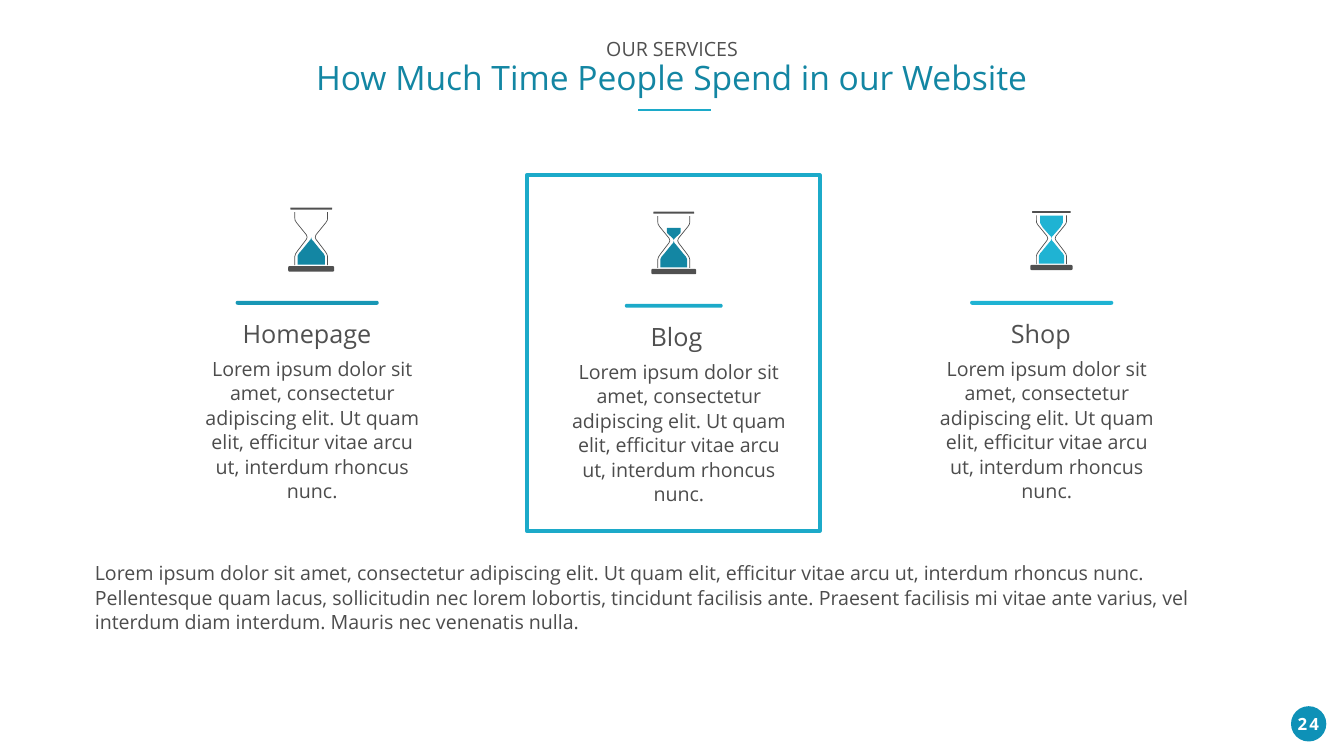
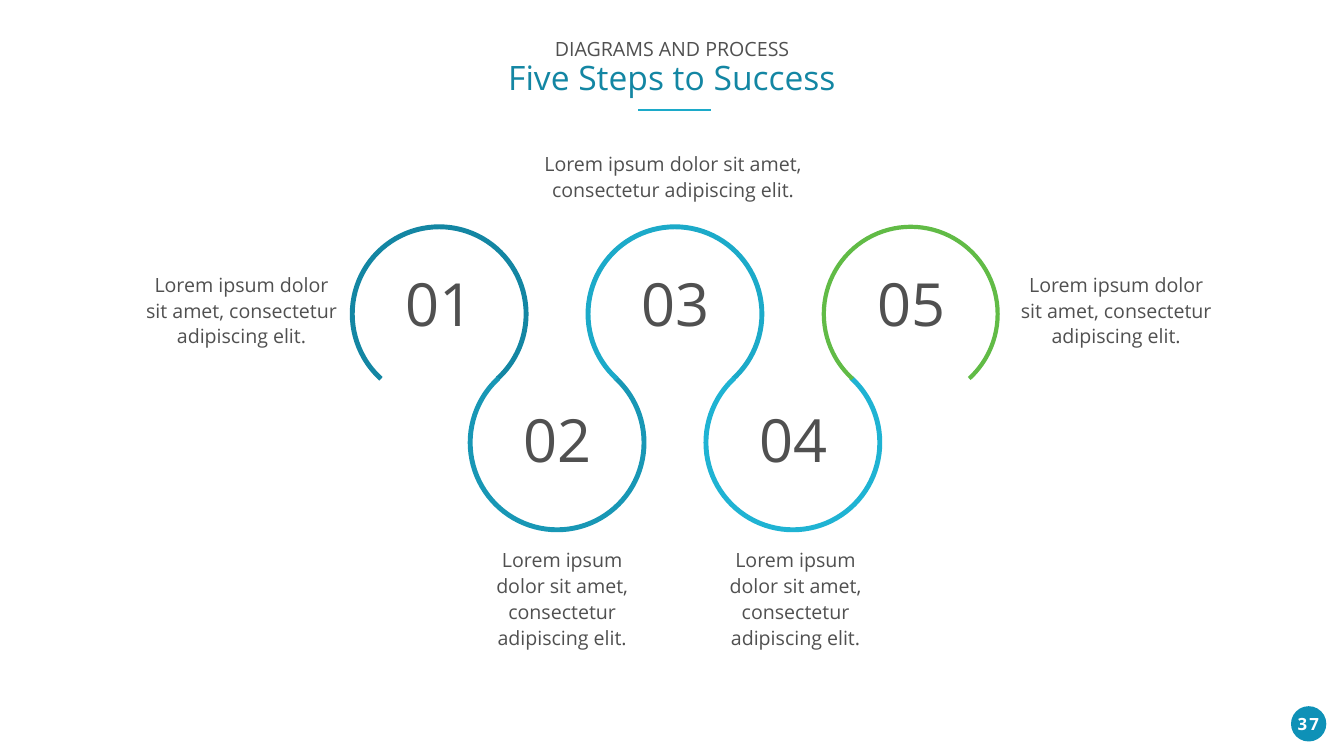
from lxml import etree
from pptx import Presentation
from pptx.dml.color import RGBColor
from pptx.enum.shapes import MSO_CONNECTOR, MSO_SHAPE
from pptx.enum.text import MSO_ANCHOR, MSO_AUTO_SIZE, PP_ALIGN
from pptx.oxml.ns import qn
from pptx.util import Cm, Pt

CENTER, LEFT = PP_ALIGN.CENTER, PP_ALIGN.LEFT
TOP, MIDDLE = MSO_ANCHOR.TOP, MSO_ANCHOR.MIDDLE
GROW, FIXED = MSO_AUTO_SIZE.SHAPE_TO_FIT_TEXT, MSO_AUTO_SIZE.NONE
ELLIPSE, ARC = MSO_SHAPE.OVAL, MSO_SHAPE.ARC
RECTANGLE, ROUNDED = MSO_SHAPE.RECTANGLE, MSO_SHAPE.ROUNDED_RECTANGLE

# Shared style, lengths in centimetres
FONT = "Open Sans"
COLORS = {
    "dark": "505050", "body": "4C4C4C", "white": "FFFFFF", "badge": "0E91B7",
    "deep": "1386A3", "teal": "1897B5", "cyan": "1CAAC9", "sky": "1FB3D3",
    "green": "61BB46",
}
SLIDE_WIDTH, SLIDE_HEIGHT = 67.72, 38.1
DEFAULT_INSETS = (0.25, 0.13, 0.25, 0.13)
BODY_INSETS = (0.51, 0, 0, 0)
HEADING_INSETS = (0.51, 0.13, 0.25, 0.13)
NUMBER_INSETS = (0.69, 0.25, 0.69, 0.33)

# Services slide
SERVICES = {"kicker": "OUR SERVICES", "page": "24", "title_width": 36.73,
            "title": "How Much Time People Spend in our Website"}
SERVICE_TEXT = ("Lorem ipsum dolor sit amet, consectetur adipiscing elit. Ut quam elit, "
                "efficitur vitae arcu ut, interdum rhoncus nunc.")
SUMMARY = (SERVICE_TEXT + " Pellentesque quam lacus, sollicitudin nec lorem lobortis, "
           "tincidunt facilisis ante. Praesent facilisis mi vitae ante varius, vel "
           "interdum diam interdum. Mauris nec venenatis nulla.")
COLUMNS = [
    {"heading": "Homepage", "center": 15.48, "heading_center": 15.34, "heading_width": 7.32,
     "drop": 0, "bar": "teal", "bar_width": 7.21,
     "icon": (15.68, 10.46, 3.23), "sand": "deep", "upper_sand": None},
    {"heading": "Blog", "center": 33.95, "heading_center": 33.96, "heading_width": 3.4,
     "drop": 0.15, "bar": "cyan", "bar_width": 4.93,
     "icon": (33.95, 10.67, 3.15), "sand": "deep", "upper_sand": "half"},
    {"heading": "Shop", "center": 52.49, "heading_center": 52.32, "heading_width": 3.81,
     "drop": 0, "bar": "sky", "bar_width": 7.21,
     "icon": (52.98, 10.64, 2.97), "sand": "sky", "upper_sand": "full"},
]

# Hourglass outline: (distance from the axis, depth), 127 units high
GLASS_HEIGHT = 127
GLASS_WALL = [(32.5, 114), (32.5, 97), (31, 92), (27, 86), (9.5, 63), (8, 59),
              (9.5, 54), (29, 30), (32, 25), (32.5, 20), (32.5, 9)]
GLASS_CAPS = [(45.5, 116, 11), (41.5, 0, 4)]
LOWER_SAND = [(0, 59), (1, 63), (4.5, 67), (20, 86), (24.5, 91), (27, 96), (27, 113)]
UPPER_SAND = {
    "half": [(14, 33), (14, 41), (13, 44), (2.5, 53.5), (0, 57)],
    "full": [(24.5, 10), (24.5, 25), (22, 30), (19, 35), (5, 51), (1, 55), (0, 59)],
}

# Steps slide
STEPS = {"kicker": "DIAGRAMS AND PROCESS", "title": "Five Steps to Success",
         "page": "37", "title_width": 17.2}
STEP_TEXT = "Lorem ipsum dolor sit amet, consectetur adipiscing elit."
STEP_ARCS = [("deep", 7), ("teal", 7), ("cyan", 7), ("sky", 7), ("green", 6)]
STEP_CAPTIONS = [
    (7.09, 13.49, 10.16, 4.14),
    (23.7, 27.38, 9.25, 5.51),
    (26.47, 7.39, 14.88, 2.9),
    (35.46, 27.38, 9.25, 5.51),
    (51.16, 13.49, 10.16, 4.14),
]
ARC_LEFT, ARC_STEP, ARC_SIZE = 17.75, 5.94, (8.76, 8.79)
ARC_TOPS = (11.43, 17.91)
ARC_ENDS = (79.14, 28.68)
NUMBER_DROPS = (2.21, 2.57)


def color(name):
    return RGBColor.from_string(COLORS[name])


def paint(shape, fill=None, line=None, width=1):
    shape.shadow.inherit = False
    if fill:
        shape.fill.solid()
        shape.fill.fore_color.rgb = color(fill)
    else:
        shape.fill.background()
    if line:
        shape.line.color.rgb = color(line)
        shape.line.width = Pt(width)
    else:
        shape.line.fill.background()
    return shape


def add_shape(shapes, kind, box, **style):
    return paint(shapes.add_shape(kind, *map(Cm, box)), **style)


def set_frame(shape, insets=DEFAULT_INSETS, anchor=TOP, wrap=True, auto_size=GROW):
    frame = shape.text_frame
    frame.word_wrap, frame.auto_size, frame.vertical_anchor = wrap, auto_size, anchor
    (frame.margin_left, frame.margin_top,
     frame.margin_right, frame.margin_bottom) = map(Cm, insets)
    return frame


def format_paragraph(paragraph, size, name, align=CENTER, spacing=None, bold=False):
    paragraph.alignment = align
    if spacing:
        paragraph.line_spacing = spacing
    for run in paragraph.runs:
        run.font.name, run.font.size, run.font.bold = FONT, Pt(size), bold
        run.font.color.rgb = color(name)


def add_text(slide, text, box, size, name, align=CENTER, spacing=None, bold=False, **frame_style):
    text_box = slide.shapes.add_textbox(*map(Cm, box))
    frame = set_frame(text_box, **frame_style)
    frame.text = text
    format_paragraph(frame.paragraphs[0], size, name, align, spacing, bold)
    return text_box


def add_body(slide, text, box, align=CENTER):
    add_text(slide, text, box, 28, "body", align, Pt(35),
             insets=BODY_INSETS, anchor=MIDDLE, auto_size=FIXED)


def add_base(presentation, content):
    """Add a slide with its two-line title, rule and page badge."""
    slide = presentation.slides.add_slide(presentation.slide_layouts[5])
    title = slide.shapes.title
    width = content["title_width"]
    title.left, title.top = Cm((SLIDE_WIDTH - width) / 2), Cm(1.88)
    title.width, title.height = Cm(width), Cm(3.18)
    frame = set_frame(title, wrap=False)
    frame.text = content["kicker"]
    frame.add_paragraph().text = content["title"]
    for paragraph, size, name in zip(frame.paragraphs, (28, 48), ("dark", "deep")):
        format_paragraph(paragraph, size, name, spacing=0.9)

    rule = slide.shapes.add_connector(
        MSO_CONNECTOR.STRAIGHT, Cm(32.16), Cm(5.54), Cm(35.81), Cm(5.54))
    rule.line.color.rgb = color("cyan")
    rule.line.width = Pt(3)
    etree.SubElement(rule._element.spPr, qn("a:effectLst"))

    add_shape(slide.shapes, ELLIPSE, (65.05, 35.59, 1.78, 1.78), fill="badge")
    number = add_text(slide, content["page"], (64.92, 35.84, 2.01, 1.27), 24, "white", bold=True)
    number.text_frame.paragraphs[0].runs[0].font._element.set("spc", "300")
    return slide


def add_hourglass(slide, icon, sand, upper_sand):
    center, top, height = icon
    unit = height / GLASS_HEIGHT
    shapes = slide.shapes.add_group_shape().shapes

    def outline(points, closed, **style):
        places = [(Cm(center + x * unit), Cm(top + y * unit)) for x, y in points]
        builder = shapes.build_freeform(*places[0], scale=1.0)
        builder.add_line_segments(places[1:], close=closed)
        paint(builder.convert_to_shape(), **style)

    def mirrored(points):
        return [(-x, y) for x, y in points]

    for wall in (GLASS_WALL, mirrored(GLASS_WALL)):
        outline(wall, False, line="dark")
    for half_width, depth, thickness in GLASS_CAPS:
        box = (center - half_width * unit, top + depth * unit,
               2 * half_width * unit, thickness * unit)
        add_shape(shapes, ROUNDED, box, fill="dark").adjustments[0] = 0.25
    heaps = [LOWER_SAND] + ([UPPER_SAND[upper_sand]] if upper_sand else [])
    for heap in heaps:
        outline(heap + mirrored(heap)[::-1], True, fill=sand)


def build_services(presentation):
    slide = add_base(presentation, SERVICES)
    add_shape(slide.shapes, RECTANGLE, (26.54, 8.84, 14.76, 17.91), line="cyan", width=6)
    for column in COLUMNS:
        drop, center = column["drop"], column["center"]
        add_hourglass(slide, column["icon"], column["sand"], column["upper_sand"])
        width = column["bar_width"]
        bar = add_shape(slide.shapes, ROUNDED,
                        (center - width / 2, 15.16 + drop, width, 0.2), fill=column["bar"])
        bar.adjustments[0] = 0.5
        width = column["heading_width"]
        add_text(slide, column["heading"],
                 (column["heading_center"] - width / 2, 15.93 + drop, width, 1.8),
                 36, "dark", insets=HEADING_INSETS, wrap=False)
        add_body(slide, SERVICE_TEXT, (center - 5.78, 17.96 + drop, 11.56, 7.32))
    add_body(slide, SUMMARY, (4.27, 28.04, 59.36, 4.11), LEFT)


def build_steps(presentation):
    slide = add_base(presentation, STEPS)
    for index, ((name, width), caption) in enumerate(zip(STEP_ARCS, STEP_CAPTIONS)):
        row = index % 2
        left, top = ARC_LEFT + index * ARC_STEP, ARC_TOPS[row]
        arc = add_shape(slide.shapes, ARC, (left, top, *ARC_SIZE), line=name, width=width)
        arc.adjustments[0], arc.adjustments[1] = ARC_ENDS
        arc.rotation = 180 * row
        add_text(slide, f"{index + 1:02}", (left + 1.32, top + NUMBER_DROPS[row], 6.17, 3.89),
                 85, "dark", spacing=0.89, insets=NUMBER_INSETS)
        add_text(slide, STEP_TEXT, caption, 28, "dark", spacing=1.1)


def main():
    presentation = Presentation()
    presentation.slide_width, presentation.slide_height = Cm(SLIDE_WIDTH), Cm(SLIDE_HEIGHT)
    build_services(presentation)
    build_steps(presentation)
    presentation.save("out.pptx")


if __name__ == "__main__":
    main()
